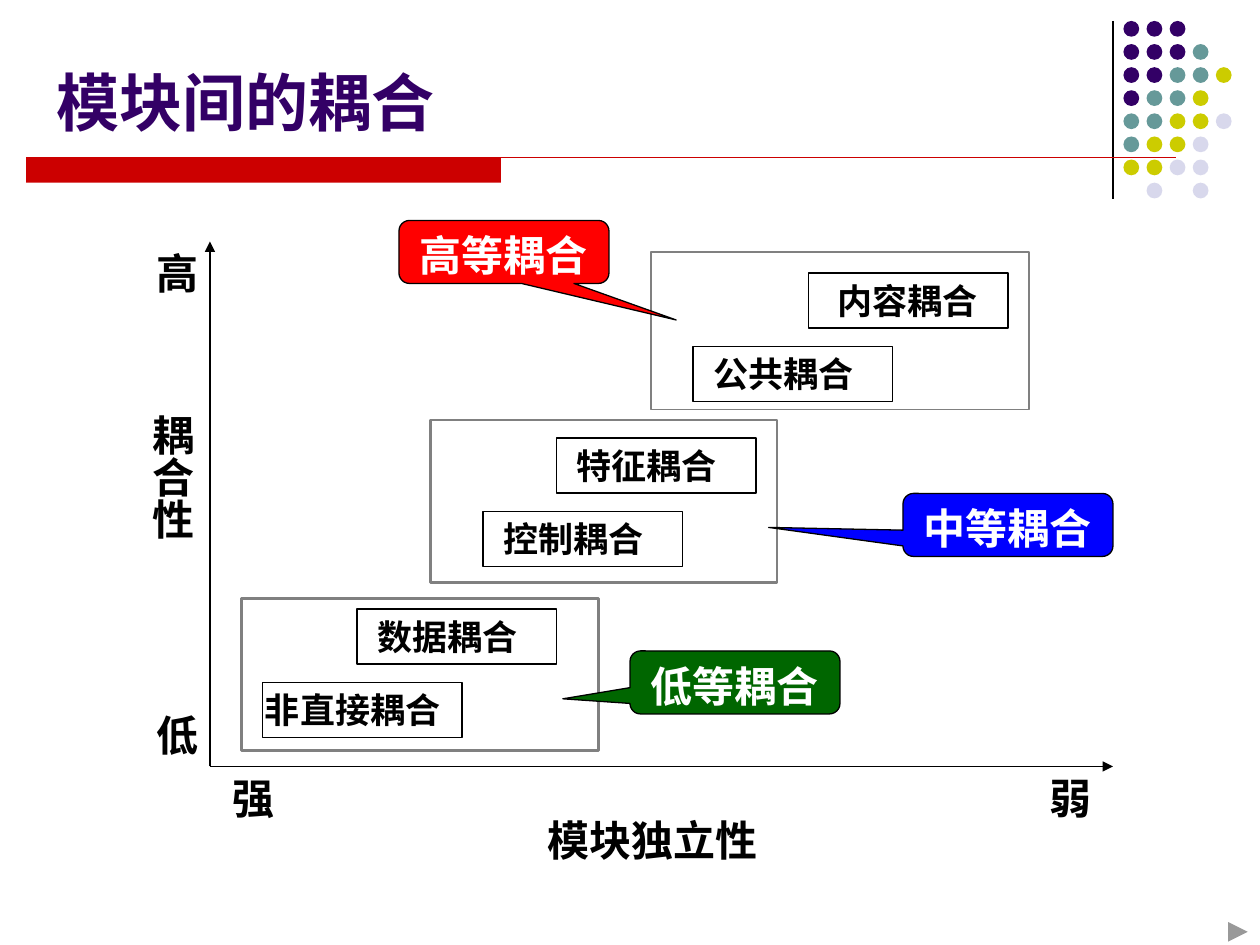
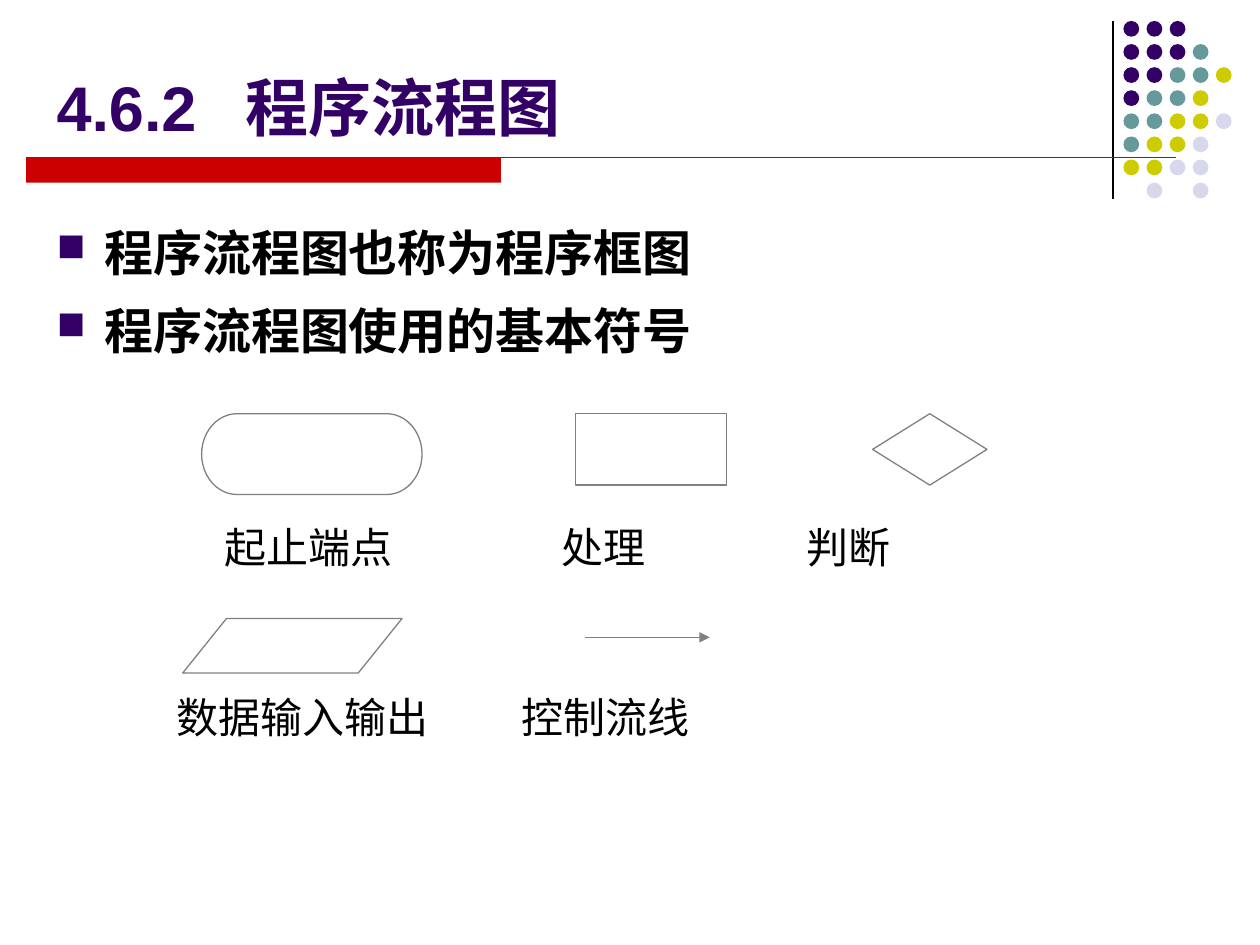
from dataclasses import dataclass

from lxml import etree
from pptx import Presentation
from pptx.dml.color import RGBColor
from pptx.enum.shapes import MSO_CONNECTOR, MSO_SHAPE
from pptx.enum.text import MSO_ANCHOR, PP_ALIGN
from pptx.oxml.ns import qn
from pptx.util import Inches, Pt

RECT, OVAL = MSO_SHAPE.RECTANGLE, MSO_SHAPE.OVAL
CALLOUT = MSO_SHAPE.ROUNDED_RECTANGULAR_CALLOUT
NEXT_BUTTON = MSO_SHAPE.ACTION_BUTTON_FORWARD_OR_NEXT
TERMINATOR, PROCESS = MSO_SHAPE.FLOWCHART_TERMINATOR, MSO_SHAPE.FLOWCHART_PROCESS
DECISION, DATA = MSO_SHAPE.FLOWCHART_DECISION, MSO_SHAPE.FLOWCHART_DATA
STRAIGHT = MSO_CONNECTOR.STRAIGHT
TOP, BOTTOM = MSO_ANCHOR.TOP, MSO_ANCHOR.BOTTOM
LEFT, CENTER = PP_ALIGN.LEFT, PP_ALIGN.CENTER


@dataclass(frozen=True)
class Theme:
    title: str = "330066"
    accent: str = "CC0000"
    ink: str = "000000"
    paper: str = "FFFFFF"
    frame: str = "808080"
    high: str = "FF0000"
    middle: str = "0000FF"
    low: str = "006600"
    heading_font: str = "Arial"
    body_font: str = "Times New Roman"
    title_size: int = 36
    bullet_size: int = 28
    label_size: int = 24
    item_size: int = 20
    thin: float = 0.75
    thick: float = 1.5


THEME = Theme()
CELLS_PER_INCH = 12  # the slide is a grid of 120 columns by 90 rows

# Shared decoration: one letter per dot
DOT_COLOURS = {"p": "330066", "t": "669999", "y": "CCCC00", "g": "D8D8EC"}
DOT_ROWS = ["ppp", "pppt", "pptty", "ptty", "ttyyg", "tyyg", "yygg", " g g"]
DOT_AREA = (107, 2, 8.8, 15.4)  # left, top, span from first to last dot
DOT_SIZE = 1.5

# Slide 1: places are in cells
COUPLING_TITLE = ("模块间的耦合", (4.2, 5.3, 57.8, 8.5))
ORIGIN, Y_AXIS_END, X_AXIS_END = (20, 73), (20, 23), (106, 73)
AXIS_LABELS = [
    ("强", (21, 73, 8, 6)),
    ("弱", (98.8, 73, 8, 6)),
    ("模块独立性", (51, 77, 34, 6)),
    ("低", (13.7, 67, 8, 6)),
    ("高", (13.7, 23, 8, 6)),
]
VERTICAL_LABEL = ("耦合性", (12.2, 38.3, 7.2, 20))
ITEM_SIZE, CALLOUT_SIZE = (19, 5.25), (20, 6)
# Items: text, left, top, indent in inches; tip: callout point as shares of its size
LEVELS = [
    dict(name="低等耦合", colour=THEME.low, at=(60, 62), tip=(-0.82, 0.26),
         frame=(23, 57, 34, 14.5), border=THEME.thick,
         items=[("非直接耦合", 25, 65, 0.02), ("数据耦合", 34, 58, 0.16)]),
    dict(name="中等耦合", colour=THEME.middle, at=(86, 47), tip=(-1.14, 0.04),
         frame=(41, 40, 33, 15.5), border=THEME.thick,
         items=[("控制耦合", 46, 48.7, 0.16), ("特征耦合", 53, 41.7, 0.16)]),
    dict(name="高等耦合", colour=THEME.high, at=(38, 21), tip=(0.82, 1.08),
         frame=(62, 24, 36, 15), border=THEME.thin,
         items=[("公共耦合", 66, 33, 0.16), ("内容耦合", 77, 26, 0.23)]),
]
NEXT_AT = (115.8, 87.5, 4.2, 2.5)

# Slide 2
FLOWCHART_TITLE = ("4.6.2\t程序流程图", (4.2, 4.3, 81.2, 10))
TITLE_TAB = 1.5
BULLETS = ["程序流程图也称为程序框图", "程序流程图使用的基本符号"]
BULLETS_AT = (4.2, 19.8, 99, 19.5)
SYMBOLS = [
    (TERMINATOR, (19.2, 39.4, 21, 7.7)),
    (PROCESS, (54.8, 39.4, 14.4, 6.8)),
    (DECISION, (83.1, 39.4, 10.9, 6.8)),
    (DATA, (17.4, 58.9, 20.9, 5.2)),
]
FLOW_LINE = ((55.7, 60.7), (67.6, 60.7))
CAPTION_ROWS = [
    (50.4, [("起止端点", 20.2), ("处理", 52.3), ("判断", 75.6)]),
    (66.6, [("数据输入输出", 15.6), ("控制流线", 48.5)]),
]
CAPTION_SIZE = (28, 4.6)


def cells(*lengths):
    return [Inches(length / CELLS_PER_INCH) for length in lengths]


def rgb(colour):
    return RGBColor.from_string(colour)


def add_line(slide, start, end, colour, arrow=False):
    line = slide.shapes.add_connector(STRAIGHT, *cells(*start, *end))
    line.line.color.rgb = rgb(colour)
    line.line.width = Pt(THEME.thin)
    if arrow:
        etree.SubElement(line.line._get_or_add_ln(), qn("a:tailEnd"), type="triangle")
    etree.SubElement(line._element.spPr, qn("a:effectLst"))


def add_box(slide, kind, place, fill=None, border=None, width=THEME.thin):
    box = slide.shapes.add_shape(kind, *cells(*place))
    box.shadow.inherit = False
    if fill:
        box.fill.solid()
        box.fill.fore_color.rgb = rgb(fill)
    else:
        box.fill.background()
    if border:
        box.line.color.rgb = rgb(border)
        box.line.width = Pt(width)
    else:
        box.line.fill.background()
    return box


def style(paragraph, size, colour=THEME.ink, bold=True, font=THEME.body_font):
    for run in paragraph.runs:
        run.font.size = Pt(size)
        run.font.bold = bold
        run.font.name = font
        run.font.color.rgb = rgb(colour)


def write(shape, text, size, align=LEFT, anchor=TOP, indent=0.1, **look):
    frame = shape.text_frame
    frame.word_wrap = True
    frame.vertical_anchor = anchor
    frame.margin_left = frame.margin_right = Inches(indent)
    frame.text = text
    paragraph = frame.paragraphs[0]
    paragraph.alignment = align
    style(paragraph, size, **look)
    return paragraph


def add_label(slide, text, place, size=THEME.label_size, **look):
    label = slide.shapes.add_textbox(*cells(*place))
    write(label, text, size, **look)
    return label


def start_slide(deck, title, place):
    slide = deck.slides.add_slide(deck.slide_layouts[6])
    # Dot pattern beside its rule
    add_line(slide, (106, 2), (106, 19), THEME.ink)
    left, top, across, down = DOT_AREA
    for row, dots in enumerate(DOT_ROWS):
        for column, dot in enumerate(dots):
            if dot in DOT_COLOURS:
                x = left + column * across / 4
                y = top + row * down / (len(DOT_ROWS) - 1)
                add_box(slide, OVAL, (x, y, DOT_SIZE, DOT_SIZE), DOT_COLOURS[dot])
    # Title band
    add_box(slide, RECT, (2.5, 15, 45.2, 2.4), THEME.accent)
    add_line(slide, (2.5, 15), (112, 15), THEME.accent)
    heading = add_label(slide, title, place, THEME.title_size, anchor=BOTTOM,
                        colour=THEME.title, font=THEME.heading_font)
    return slide, heading


def add_bullet(paragraph):
    properties = paragraph._p.get_or_add_pPr()
    hanging = Inches(0.38)
    properties.set("marL", str(hanging))
    properties.set("indent", str(-hanging))
    colour = etree.SubElement(properties, qn("a:buClr"))
    etree.SubElement(colour, qn("a:srgbClr"), val=THEME.title)
    etree.SubElement(properties, qn("a:buSzPct"), val="80000")
    etree.SubElement(properties, qn("a:buChar"), char="■")


def build_coupling(deck):
    slide, _ = start_slide(deck, *COUPLING_TITLE)
    # Axes and their labels
    for end in (Y_AXIS_END, X_AXIS_END):
        add_line(slide, ORIGIN, end, THEME.ink, arrow=True)
    for text, place in AXIS_LABELS:
        add_label(slide, text, place)
    upright = add_label(slide, *VERTICAL_LABEL, indent=0.05)
    upright.text_frame.margin_top = upright.text_frame.margin_bottom = Inches(0.1)
    upright.text_frame._txBody.bodyPr.set("vert", "eaVert")
    # Coupling levels
    for level in LEVELS:
        add_box(slide, RECT, level["frame"], border=THEME.frame, width=level["border"])
        for text, left, top, indent in level["items"]:
            item = add_box(slide, RECT, (left, top, *ITEM_SIZE), border=THEME.ink)
            write(item, text, THEME.item_size, indent=indent)
            item.text_frame.margin_right = 0
    for level in LEVELS:
        callout = add_box(slide, CALLOUT, (*level["at"], *CALLOUT_SIZE),
                          level["colour"], THEME.ink)
        callout.adjustments[0], callout.adjustments[1] = level["tip"]
        write(callout, level["name"], THEME.label_size, CENTER, colour=THEME.paper)
    add_box(slide, NEXT_BUTTON, NEXT_AT, THEME.paper)


def build_flowchart(deck):
    slide, heading = start_slide(deck, *FLOWCHART_TITLE)
    # Tab between section number and title
    properties = heading.text_frame.paragraphs[0]._p.get_or_add_pPr()
    tabs = etree.SubElement(properties, qn("a:tabLst"))
    etree.SubElement(tabs, qn("a:tab"), pos=str(Inches(TITLE_TAB)), algn="l")
    # Bullets
    body = slide.shapes.add_textbox(*cells(*BULLETS_AT)).text_frame
    body.word_wrap = True
    for number, text in enumerate(BULLETS):
        paragraph = body.add_paragraph() if number else body.paragraphs[0]
        paragraph.text = text
        add_bullet(paragraph)
        paragraph.line_spacing = 1.15
        if number:
            paragraph.space_before = Pt(6)
        style(paragraph, THEME.bullet_size)
    # Symbols and captions
    for kind, place in SYMBOLS:
        add_box(slide, kind, place, THEME.paper, THEME.frame)
    add_line(slide, *FLOW_LINE, THEME.frame, arrow=True)
    for top, captions in CAPTION_ROWS:
        for text, left in captions:
            caption = add_label(slide, text, (left, top, *CAPTION_SIZE), bold=False)
            caption.text_frame.paragraphs[0].line_spacing = 0.7


def main():
    deck = Presentation()
    deck.slide_width, deck.slide_height = Inches(10), Inches(7.5)
    build_coupling(deck)
    build_flowchart(deck)
    deck.save("out.pptx")


if __name__ == "__main__":
    main()
